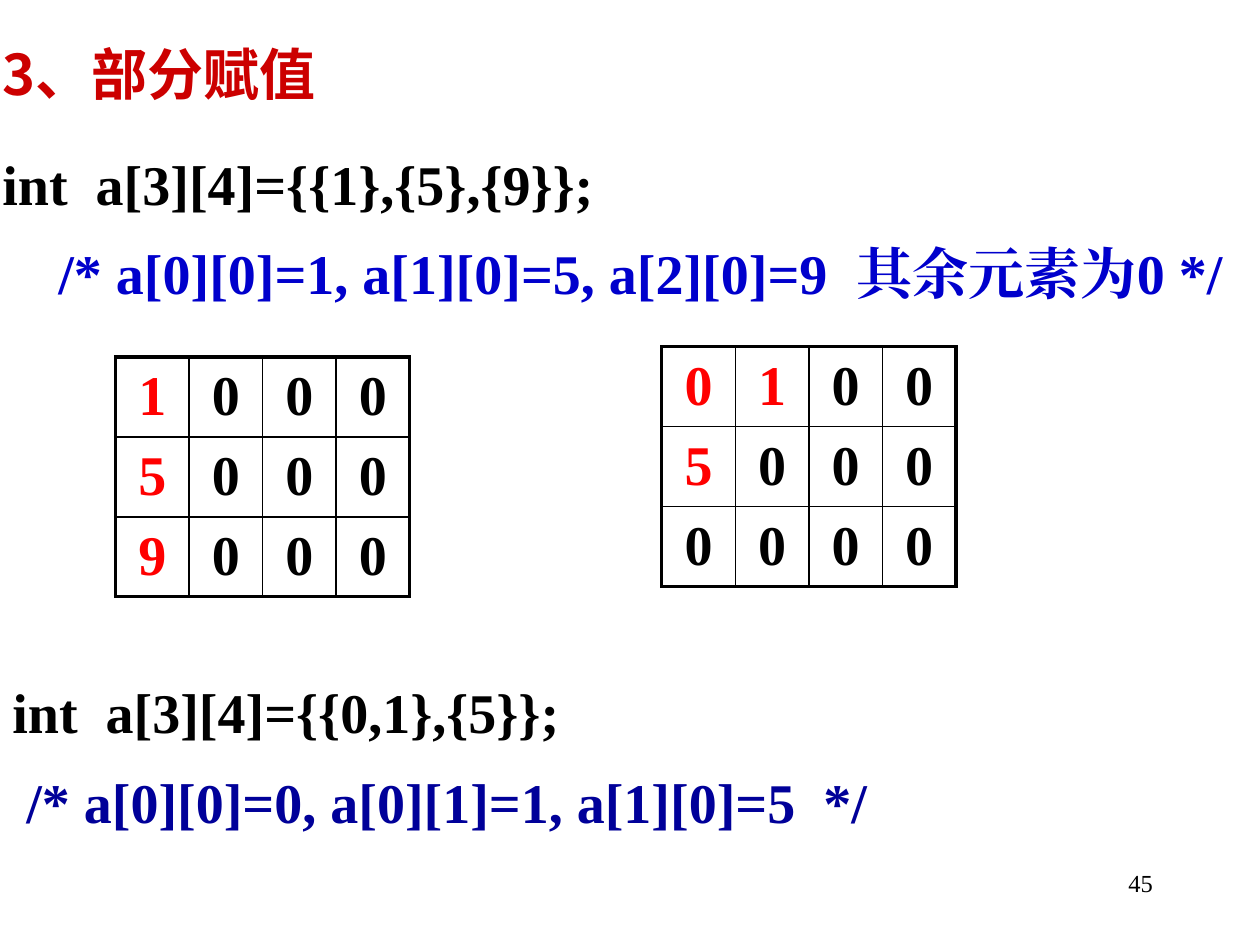
from pptx import Presentation
from pptx.dml.color import RGBColor
from pptx.enum.text import MSO_ANCHOR as Anchor, PP_ALIGN as Align
from pptx.oxml.ns import qn
from pptx.util import Cm, Pt
from lxml.etree import SubElement

SERIF, SANS = "Times New Roman", "Noto Sans CJK SC"
BLACK, RED = "000000", "FF0000"


def color(hex_value):
    return RGBColor.from_string(hex_value)


def style(paragraph, hex_value, face=SERIF, size=32, bold=True):
    for run in paragraph.runs:
        run.font.name = face
        run.font.size = Pt(size)
        run.font.bold = bold
        run.font.color.rgb = color(hex_value)
        # East Asian characters use the same face
        SubElement(run._r.get_or_add_rPr(), qn("a:ea"), typeface=face)


def add_frame(slide, left, top, width, height, inset=(0.25, 0.13)):
    frame = slide.shapes.add_textbox(Cm(left), Cm(top), Cm(width), Cm(height)).text_frame
    frame.word_wrap = True
    frame.margin_left = frame.margin_right = Cm(inset[0])
    frame.margin_top = Cm(inset[1])
    frame.margin_bottom = Cm(0.03)
    return frame


def add_heading(slide, left, top, width, height):
    heading = add_frame(slide, left, top, width, height, (0.05, 0.03)).paragraphs[0]
    heading.text = "3、部分赋值"
    heading.line_spacing = 1.1
    style(heading, "CC0000", SANS)


def add_code(slide, left, top, width, height, inset, declaration, comment, comment_color):
    frame = add_frame(slide, left, top, width, height, inset)
    statement, note = frame.paragraphs[0], frame.add_paragraph()
    statement.text, note.text = declaration, comment
    statement.line_spacing = note.line_spacing = 1.1
    note.space_before = Pt(9)
    style(statement, BLACK)
    style(note, comment_color)


def set_border(cell, side, width):
    line = SubElement(cell._tc.get_or_add_tcPr(), qn(f"a:ln{side}"), w=str(Pt(width)))
    fill = SubElement(line, qn("a:solidFill"))
    SubElement(fill, qn("a:srgbClr"), val=BLACK)


def add_matrix(slide, left, top, width, height, initial, rows=3, cols=4):
    """Initial values are red; every other element is a black 0."""
    matrix = slide.shapes.add_table(
        rows, cols, Cm(left), Cm(top), Cm(width), Cm(height)).table
    matrix.first_row = matrix.horz_banding = False
    for r in range(rows):
        given = initial[r] if r < len(initial) else []
        for c in range(cols):
            cell = matrix.cell(r, c)
            # Thick outline, thin inner grid
            outer = {"L": c == 0, "R": c == cols - 1, "T": r == 0, "B": r == rows - 1}
            for side, is_outer in outer.items():
                set_border(cell, side, 2.25 if is_outer else 1)
            cell.fill.background()
            cell.vertical_anchor = Anchor.MIDDLE
            element = cell.text_frame.paragraphs[0]
            element.text = str(given[c] if c < len(given) else 0)
            element.alignment = Align.CENTER
            style(element, RED if c < len(given) else BLACK)


def add_page_number(slide, left, top, width, height):
    number = add_frame(slide, left, top, width, height).paragraphs[0]
    number.text = "45"
    number.alignment = Align.RIGHT
    style(number, BLACK, size=14, bold=False)


def main():
    deck = Presentation()
    deck.slide_width, deck.slide_height = Cm(25.4), Cm(19.05)
    slide = deck.slides.add_slide(deck.slide_layouts[6])

    add_page_number(slide, 18.2, 17.36, 5.29, 1.27)
    add_heading(slide, 0, 0.64, 18.84, 1.55)

    # Declarations with their explanations
    add_code(slide, 0, 2.54, 25.4, 3.38, (0.05, 0.33),
             "int  a[3][4]={{1},{5},{9}};",
             "    /* a[0][0]=1, a[1][0]=5, a[2][0]=9  其余元素为0 */", "0000CC")
    add_code(slide, 0, 13.13, 25.4, 3.58, (0.25, 0.4),
             "int  a[3][4]={{0,1},{5}};",
             " /* a[0][0]=0, a[0][1]=1, a[1][0]=5  */", "000099")

    # Resulting arrays
    add_matrix(slide, 2.33, 7.2, 5.93, 4.82, [[1], [5], [9]])
    add_matrix(slide, 13.34, 6.99, 5.93, 4.82, [[0, 1], [5]])

    deck.save("out.pptx")


if __name__ == "__main__":
    main()
